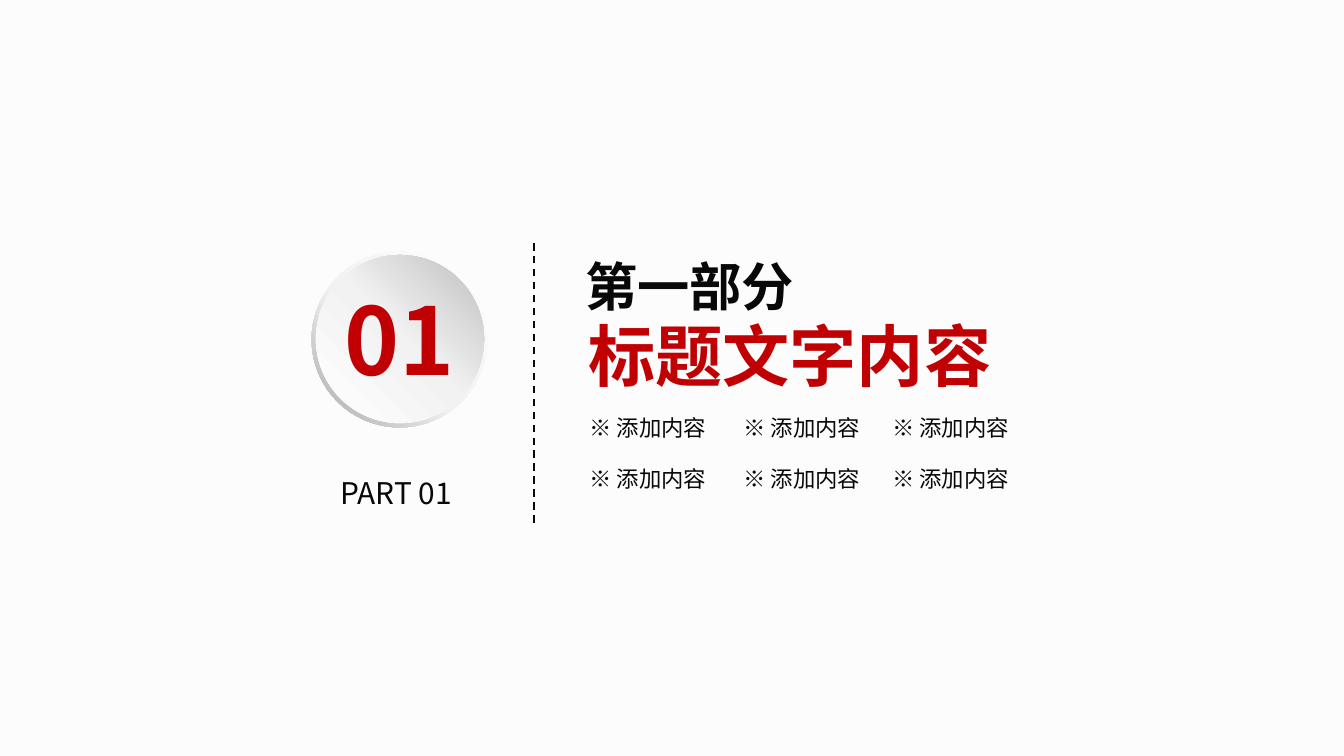
import copy
import pptx
import pptx.util
import pptx.dml.color
import pptx.enum.dml
import pptx.enum.shapes
import pptx.enum.text
import pptx.oxml
import pptx.oxml.ns

Cm = pptx.util.Cm
RGB = pptx.dml.color.RGBColor
KIND = pptx.enum.shapes.MSO_SHAPE
ALIGN = pptx.enum.text.PP_ALIGN

FONT = "Noto Sans CJK SC"
PAPER = RGB(0xFC, 0xFC, 0xFC)
INK = RGB(0x08, 0x08, 0x08)
RED = RGB(0xC0, 0x00, 0x02)
WHITE = RGB(0xFF, 0xFF, 0xFF)
PALE = RGB(0xF2, 0xF2, 0xF2)
GREY = RGB(0xBF, 0xBF, 0xBF)
DARK = RGB(0xA6, 0xA6, 0xA6)


def style(para, size, color=INK, bold=False, space=1.0):
    """Format every run of a paragraph."""
    para.line_spacing = space
    para.space_before = pptx.util.Pt(0)
    for run in para.runs:
        font = run.font
        font.size = pptx.util.Pt(size)
        font.bold = bold
        font.name = FONT
        font.color.rgb = color
        east = pptx.oxml.parse_xml(
            '<a:ea %s typeface="%s"/>' % (pptx.oxml.ns.nsdecls("a"), FONT))
        font._element.find(pptx.oxml.ns.qn("a:latin")).addnext(east)


def inset(frame, side, edge):
    frame.margin_left = frame.margin_right = Cm(side)
    frame.margin_top = frame.margin_bottom = Cm(edge)


def label(slide, text, left, top, width, height, size, pad=(0, 0), **look):
    box = slide.shapes.add_textbox(Cm(left), Cm(top), Cm(width), Cm(height))
    frame = box.text_frame
    frame.word_wrap = True
    inset(frame, *pad)
    frame.text = text
    style(frame.paragraphs[0], size, **look)


def heading(slide, part, topic):
    title = slide.shapes.title
    title.left, title.top = Cm(10.69), Cm(4.75)
    title.width, title.height = Cm(8.2), Cm(3)
    frame = title.text_frame
    frame.text = part + "\n" + topic
    frame.word_wrap = True
    inset(frame, 0.1, 0.13)
    frame.auto_size = pptx.enum.text.MSO_AUTO_SIZE.NONE
    frame.vertical_anchor = pptx.enum.text.MSO_ANCHOR.TOP
    first, second = frame.paragraphs
    first.alignment = ALIGN.LEFT
    first._p.get_or_add_pPr().set("marL", str(Cm(0.27)))
    second.alignment = ALIGN.CENTER
    style(first, 28, bold=True, space=0.97)
    style(second, 36, RED, bold=True, space=0.97)


def disc(slide, kind, left, top, size, angle, stops):
    """Draw a round shape with a three-stop gradient."""
    shape = slide.shapes.add_shape(kind, Cm(left), Cm(top), Cm(size), Cm(size))
    shape.shadow.inherit = False
    shape.line.fill.background()
    fill = shape.fill
    fill.gradient()
    fill.gradient_angle = angle
    first = shape._element.spPr.find(".//" + pptx.oxml.ns.qn("a:gs"))
    first.addnext(copy.deepcopy(first))
    for stop, (place, color) in zip(fill.gradient_stops, stops):
        stop.position = place
        stop.color.rgb = color
    return shape


def rule(slide, x, start, end):
    line = slide.shapes.add_connector(
        pptx.enum.shapes.MSO_CONNECTOR.STRAIGHT,
        Cm(x), Cm(start), Cm(x), Cm(end))
    line.line.color.rgb = INK
    line.line.width = pptx.util.Pt(1)
    line.line.dash_style = pptx.enum.dml.MSO_LINE.DASH
    line._element.spPr.append(pptx.oxml.parse_xml(
        "<a:effectLst %s/>" % pptx.oxml.ns.nsdecls("a")))


def main():
    deck = pptx.Presentation()
    deck.slide_width, deck.slide_height = Cm(25.4), Cm(14.29)
    slide = deck.slides.add_slide(deck.slide_layouts[5])
    back = slide.background.fill
    back.solid()
    back.fore_color.rgb = PAPER

    # Section title and divider
    heading(slide, "第一部分", "标题文字内容")
    rule(slide, 10.1, 9.88, 4.55)

    # Number badge
    ring = disc(slide, KIND.DONUT, 5.89, 4.75, 3.33, 225,
                [(0, WHITE), (0.55, PALE), (1, DARK)])
    ring.adjustments[0] = 0.05
    disc(slide, KIND.OVAL, 5.97, 4.82, 3.18, 45,
         [(0, WHITE), (0.51, PALE), (1, GREY)])
    label(slide, "01", 6.51, 5.33, 2.51, 2.13, 50, color=RED, bold=True)
    label(slide, "PART 01", 6.44, 8.97, 2.51, 0.69, 16)

    # Grid of topics
    for top in (7.75, 8.71):
        for left in (10.97, 13.88, 16.69):
            label(slide, "※ 添加内容", left, top, 2.8, 0.69, 12,
                  pad=(0.17, 0.08))

    deck.save("out.pptx")


if __name__ == "__main__":
    main()
